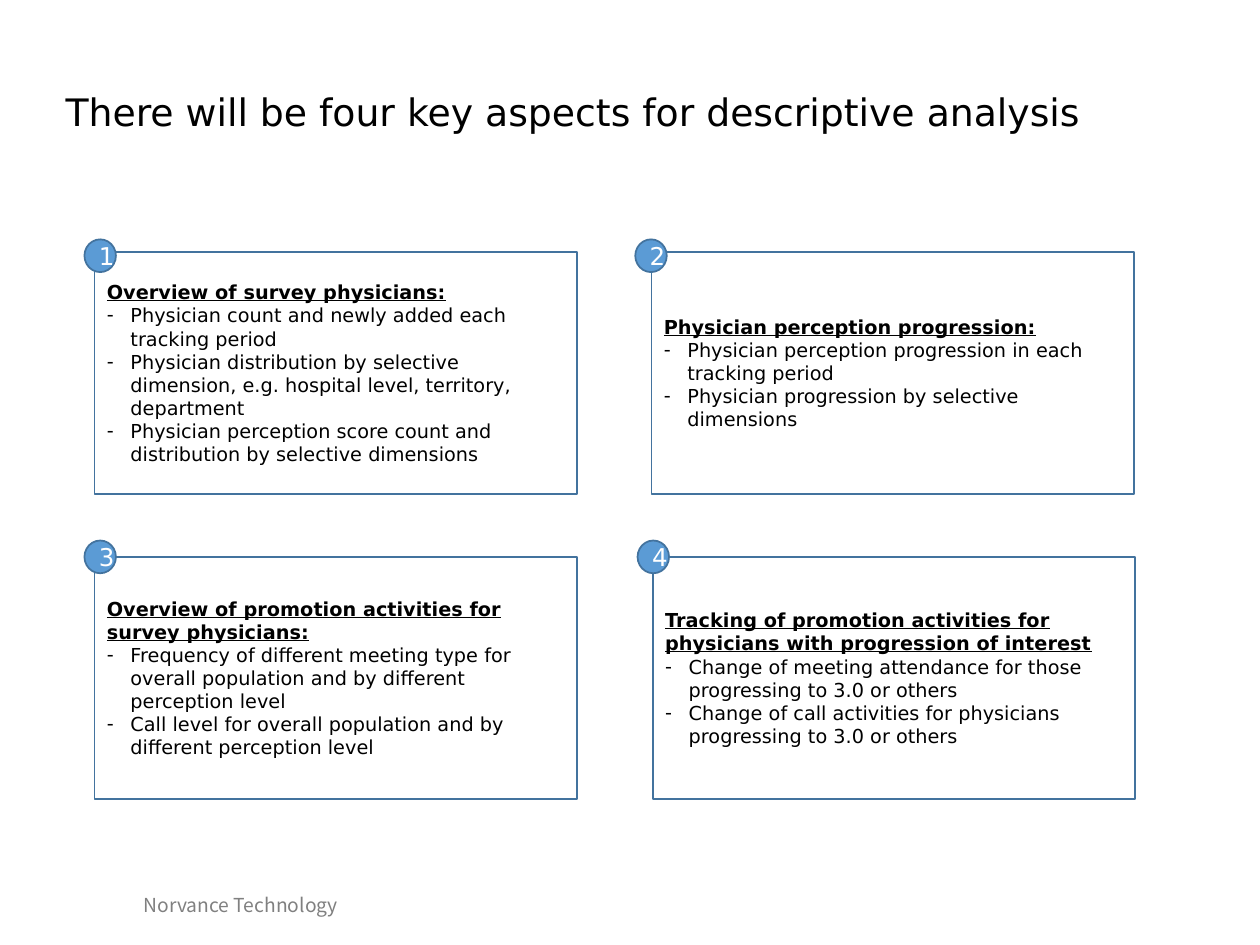
"""Build the slide on four key aspects of descriptive analysis."""
from lxml.etree import SubElement
from pptx import Presentation
from pptx.dml.color import RGBColor
from pptx.enum.shapes import MSO_SHAPE as Shape
from pptx.enum.text import MSO_ANCHOR as Anchor, MSO_AUTO_SIZE as AutoSize, PP_ALIGN as Align
from pptx.oxml.ns import qn
from pptx.util import Pt

TITLE = "There will be four key aspects for descriptive analysis"
FOOTER = "Norvance Technology"
ASPECTS = [
    ("Overview of survey physicians:", [
        "Physician count and newly added each tracking period",
        "Physician distribution by selective dimension, e.g. hospital level, territory, department",
        "Physician perception score count and distribution by selective dimensions",
    ]),
    ("Physician perception progression:", [
        "Physician perception progression in each tracking period",
        "Physician progression by selective dimensions",
    ]),
    ("Overview of promotion activities for survey physicians:", [
        "Frequency of different meeting type for overall population and by different perception level",
        "Call level for overall population and by different perception level",
    ]),
    ("Tracking of promotion activities for physicians with progression of interest", [
        "Change of meeting attendance for those progressing to 3.0 or others",
        "Change of call activities for physicians progressing to 3.0 or others",
    ]),
]

BLACK = RGBColor(0x00, 0x00, 0x00)
WHITE = RGBColor(0xFF, 0xFF, 0xFF)
GRAY = RGBColor(0x80, 0x80, 0x80)
BLUE = RGBColor(0x5B, 0x9B, 0xD5)
DARK_BLUE = RGBColor(0x43, 0x73, 0x9E)
FONT = "DejaVu Sans"
FOOTER_FONT = "Noto Sans CJK SC"

CARD_LEFTS = [54, 372.25, 54, 373]
BADGE_LEFTS = [48.25, 363, 48.25, 364.3]
CARD_TOPS = [144, 318.25]
BADGE_TOPS = [136.8, 308.9]
CARD_SIZE = (275.75, 138.25)
BADGE_SIZE = (18, 18.7)
INDENT = 13.5


def style(paragraph, size, color, name=FONT):
    font = paragraph.font
    font.name, font.size = name, Pt(size)
    font.color.rgb = color


def add_outlined(slide, kind, left, top, size, fill=None):
    shape = slide.shapes.add_shape(kind, Pt(left), Pt(top), *map(Pt, size))
    shape.shadow.inherit = False
    if fill is None:
        shape.fill.background()
    else:
        shape.fill.solid()
        shape.fill.fore_color.rgb = fill
    shape.line.color.rgb = DARK_BLUE
    shape.line.width = Pt(1)
    frame = shape.text_frame
    frame.word_wrap = True
    frame.vertical_anchor = Anchor.MIDDLE
    return frame


def add_dash(paragraph):
    properties = paragraph._p.get_or_add_pPr()
    properties.set("marL", str(Pt(INDENT)))
    properties.set("indent", str(-Pt(INDENT)))
    SubElement(properties, qn("a:buFont"), typeface=FONT)
    SubElement(properties, qn("a:buChar"), char="-")


def add_card(slide, left, top, heading, points):
    frame = add_outlined(slide, Shape.RECTANGLE, left, top, CARD_SIZE)
    for index, text in enumerate([heading, *points]):
        paragraph = frame.add_paragraph() if index else frame.paragraphs[0]
        paragraph.text = text
        paragraph.alignment = Align.LEFT
        if index:
            add_dash(paragraph)
        style(paragraph, 11, BLACK)
        paragraph.font.bold = paragraph.font.underline = index == 0


def add_badge(slide, left, top, number):
    frame = add_outlined(slide, Shape.OVAL, left, top, BADGE_SIZE, BLUE)
    paragraph = frame.paragraphs[0]
    paragraph.text = str(number)
    paragraph.alignment = Align.CENTER
    style(paragraph, 14, WHITE)


def add_title(slide):
    title = slide.shapes.title
    title.left, title.top, title.width, title.height = map(Pt, (30.25, 36.7, 661, 57.6))
    frame = title.text_frame
    frame.text = TITLE
    frame.word_wrap = True
    frame.auto_size = AutoSize.NONE
    frame.vertical_anchor = Anchor.MIDDLE
    paragraph = frame.paragraphs[0]
    paragraph.alignment = Align.LEFT
    paragraph.line_spacing = 0.9
    style(paragraph, 21.6, BLACK)


def add_footer(slide):
    frame = slide.shapes.add_textbox(*map(Pt, (74.9, 506.9, 169.2, 20.9))).text_frame
    frame.word_wrap = True
    frame.text = FOOTER
    style(frame.paragraphs[0], 11, GRAY, FOOTER_FONT)


def main():
    presentation = Presentation()
    presentation.slide_width, presentation.slide_height = Pt(720), Pt(540)
    slide = presentation.slides.add_slide(presentation.slide_layouts[5])
    add_footer(slide)
    add_title(slide)
    for index, (heading, points) in enumerate(ASPECTS):
        add_card(slide, CARD_LEFTS[index], CARD_TOPS[index // 2], heading, points)
    for index, left in enumerate(BADGE_LEFTS):
        add_badge(slide, left, BADGE_TOPS[index // 2], index + 1)
    presentation.save("out.pptx")


if __name__ == "__main__":
    main()
